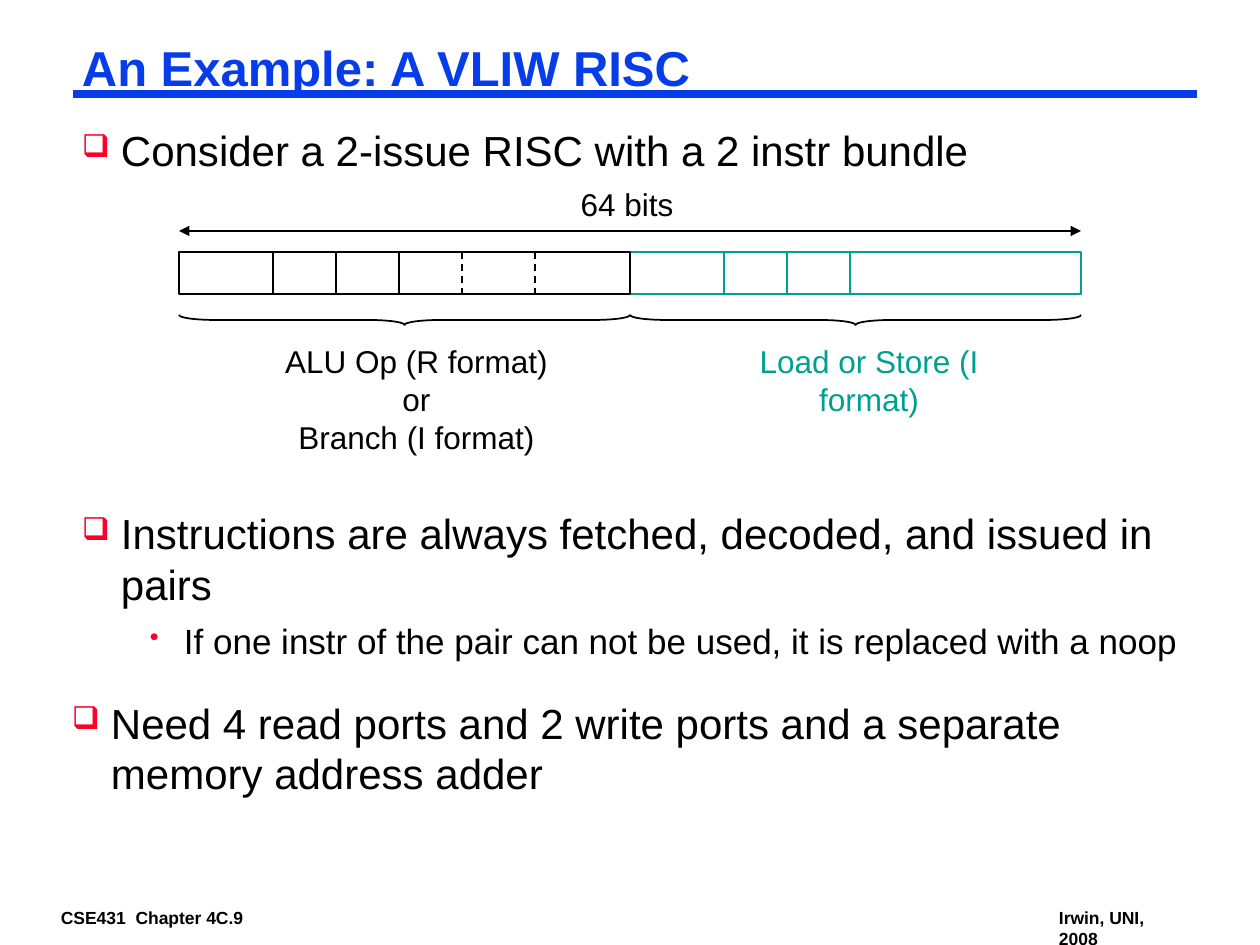
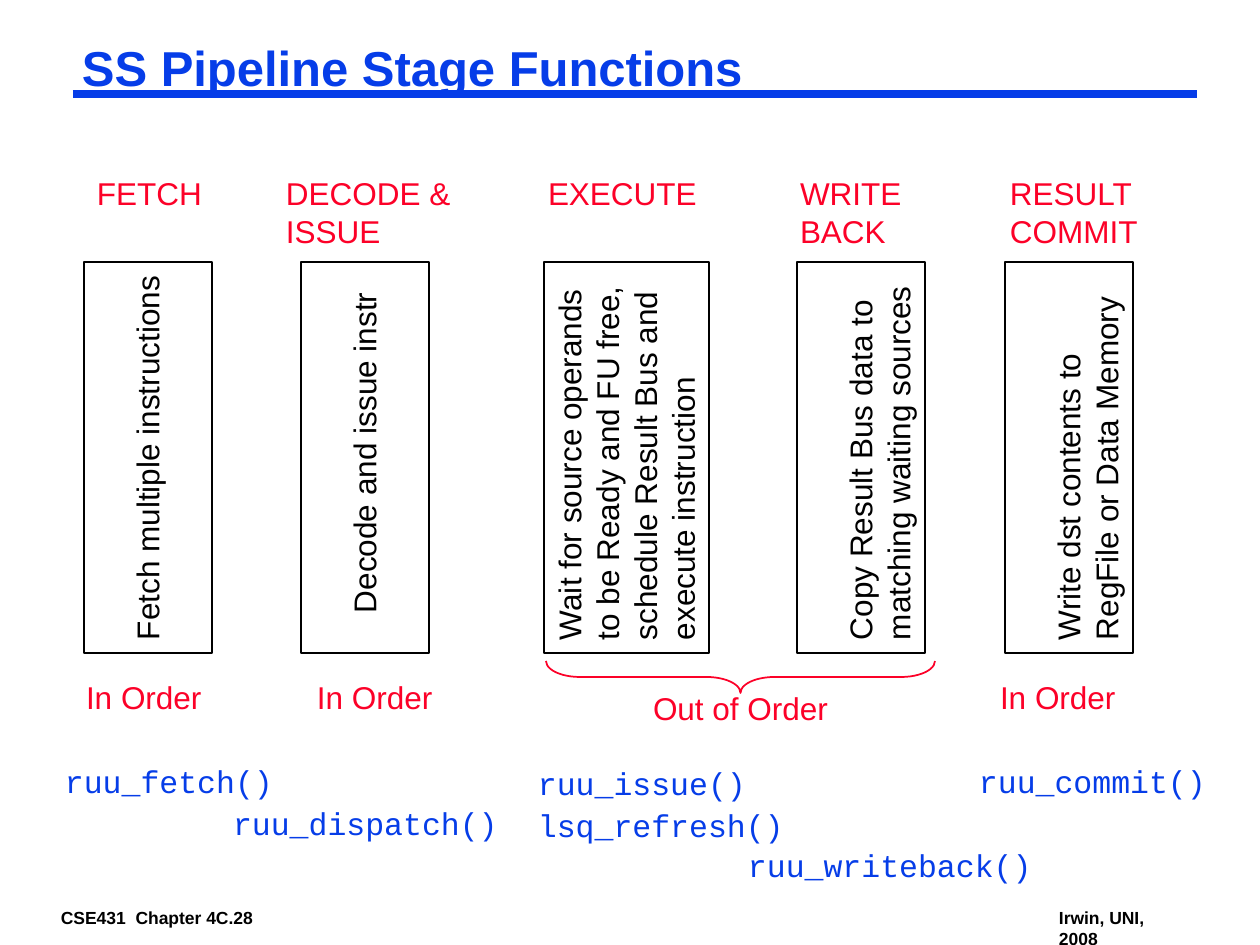
from lxml.etree import SubElement
from pptx import Presentation
from pptx.dml.color import RGBColor
from pptx.enum.dml import MSO_LINE
from pptx.enum.shapes import MSO_CONNECTOR, MSO_SHAPE
from pptx.enum.text import MSO_ANCHOR, PP_ALIGN
from pptx.oxml.ns import qn
from pptx.util import Inches, Pt

PIXEL = 914400 / 126
BLUE, RED, TEAL, BLACK = "063DE8", "FC0128", "00A091", "000000"
TIGHT = (9, 4, 9, 4)
ROOMY = (13, 6, 13, 6)


def place(slide, kind, left, top, width, height, colour=BLACK, turn=0):
    """Add an outlined shape, or a text box if kind is None, by its visible frame."""
    if turn:
        left, top = left + (width - height) / 2, top + (height - width) / 2
        width, height = height, width
    frame = [round(length * PIXEL) for length in (left, top, width, height)]
    if kind is None:
        return slide.shapes.add_textbox(*frame)
    shape = slide.shapes.add_shape(kind, *frame)
    shape.rotation = turn
    shape.shadow.inherit = False
    shape.fill.background()
    shape.line.color.rgb = RGBColor.from_string(colour)
    shape.line.width = Pt(1)
    return shape


def write(box, lines, size=18, colour=BLACK, font="Arial", bold=False,
          align=PP_ALIGN.LEFT, margins=ROOMY):
    """Fill a box with one paragraph per line and return the paragraphs."""
    frame = box.text_frame
    frame.word_wrap = True
    frame.vertical_anchor = MSO_ANCHOR.TOP
    (frame.margin_left, frame.margin_top, frame.margin_right,
     frame.margin_bottom) = [round(margin * PIXEL) for margin in margins]
    frame.text = "\n".join(lines)
    for para in frame.paragraphs:
        para.alignment = align
        for span in para.runs:
            span.font.size = Pt(size)
            span.font.name = font
            span.font.bold = bold
            span.font.color.rgb = RGBColor.from_string(colour)
    return frame.paragraphs


deck = Presentation()
deck.slide_width, deck.slide_height = Inches(10), Inches(7.5)

# Title, rule and footers of every slide
slides = []
lines = []  # slide, start, end, colour, weight, style
for title, number in [("An Example: A VLIW RISC", 9),
                      ("SS Pipeline Stage Functions", 28)]:
    slide = deck.slides.add_slide(deck.slide_layouts[6])
    slides.append(slide)
    lines.append((slide, (73, 94), (1197, 94), BLUE, 4.5, "solid"))
    heading = write(place(slide, None, 73, 42, 1124, 58), [title], 28, BLUE,
                    bold=True, margins=TIGHT)
    heading[0].line_spacing = 0.87
    write(place(slide, None, 52, 903, 213, 28), [f"CSE431  Chapter 4C.{number}"],
          10, bold=True, margins=TIGHT)
    write(place(slide, None, 1050, 903, 151, 49), ["Irwin, UNI, 2008"],
          10, bold=True, margins=(9, 4, 24, 4))
bundle_slide, stage_slide = slides

# Slide 1: bulleted text, level 0 or 1
bullet_styles = [("❑", 24, 39, 39), ("•", 20, 102, 34)]
for left, top, height, spacing, items in [
        (73, 126, 57, 0.9, ["Consider a 2-issue RISC with a 2 instr bundle"]),
        (73, 504, 163, 1.0,
         ["Instructions are always fetched, decoded, and issued in pairs",
          "If one instr of the pair can not be used, it is replaced with a noop"]),
        (63, 693, 107, 1.0,
         ["Need 4 read ports and 2 write ports and a separate memory address adder"])]:
    paras = write(place(bundle_slide, None, left, top, 1124, height), items, margins=TIGHT)
    for level, para in enumerate(paras):
        mark, size, indent, hang = bullet_styles[level]
        para.level = level
        para.line_spacing = spacing
        para.runs[0].font.size = Pt(size)
        if level:
            para.space_before = Pt(6)
        properties = para._p.get_or_add_pPr()
        properties.set("marL", str(round(indent * PIXEL)))
        properties.set("indent", str(round(-hang * PIXEL)))
        colour = SubElement(properties, qn("a:buClr"))
        SubElement(colour, qn("a:srgbClr"), val=RED)
        SubElement(properties, qn("a:buSzPct"), val="75000")
        SubElement(properties, qn("a:buChar"), char=mark)

# Slide 1: the two instructions of the bundle
SLOT_TOP, SLOT_HEIGHT, SLOT_WIDTH = 252, 42, 451
for left, colour, dashed in [(630, TEAL, []), (179, BLACK, [283, 356])]:
    place(bundle_slide, MSO_SHAPE.RECTANGLE, left, SLOT_TOP, SLOT_WIDTH, SLOT_HEIGHT, colour)
    for offset in [94, 157, 220] + dashed:
        style = "dash" if offset in dashed else "solid"
        lines.append((bundle_slide, (left + offset, SLOT_TOP),
                      (left + offset, SLOT_TOP + SLOT_HEIGHT), colour, 1, style))
    brace = place(bundle_slide, MSO_SHAPE.RIGHT_BRACE, left, 315, SLOT_WIDTH, 10, turn=90)
    brace.adjustments[0] = 3.58
lines.append((bundle_slide, (179, 231), (1081, 231), BLACK, 1, "arrows"))

for left, top, width, height, colour, labels in [
        (562, 179, 130, 50, BLACK, ["64 bits"]),
        (266, 336, 301, 126, BLACK, ["ALU Op (R format)", "or", "Branch (I format)"]),
        (700, 336, 338, 88, TEAL, ["Load or Store (I format)"])]:
    write(place(bundle_slide, None, left, top, width, height), labels,
          colour=colour, align=PP_ALIGN.CENTER)

# Slide 2: stage boxes with upward text: left, width, start and line offsets
for left, width, start, offset, text in [
        (84, 128, 13, 44, "Fetch multiple instructions"),
        (301, 128, 40, 44, "Decode and issue instr"),
        (544, 165, 13, 6, "Wait for source operands to be Ready and FU free, "
                          "schedule Result Bus and execute instruction"),
        (797, 128, 13, 44, "Copy Result Bus data to matching waiting sources"),
        (1005, 128, 13, 44, "Write dst contents to RegFile or Data Memory")]:
    stage = place(stage_slide, MSO_SHAPE.RECTANGLE, left, 262, width, 391, turn=270)
    write(stage, [text], margins=(start, offset, 6, 0))

# Slide 2: red captions above and below the stages
for left, top, width, height, captions in [
        (84, 168, 140, 50, ["FETCH"]),
        (273, 168, 199, 88, ["DECODE & ISSUE"]),
        (535, 168, 210, 50, ["EXECUTE"]),
        (787, 168, 168, 88, ["WRITE", "BACK"]),
        (997, 168, 168, 88, ["RESULT", "COMMIT"]),
        (73, 672, 157, 50, ["In Order"]),
        (304, 672, 157, 50, ["In Order"]),
        (640, 683, 231, 50, ["Out of Order"]),
        (987, 672, 157, 50, ["In Order"])]:
    write(place(stage_slide, None, left, top, width, height), captions, colour=RED)
brace = place(stage_slide, MSO_SHAPE.RIGHT_BRACE, 546, 661, 389, 32, RED, turn=90)
brace.adjustments[0] = 1.06

# Slide 2: simulator functions
for left, top, name in [(52, 756, "ruu_fetch()"), (220, 798, "ruu_dispatch()"),
                        (525, 758, "ruu_issue()"), (525, 800, "lsq_refresh()"),
                        (735, 840, "ruu_writeback()"), (966, 756, "ruu_commit()")]:
    write(place(stage_slide, None, left, top, 19 * len(name) + 30, 50), [name],
          colour=BLUE, font="Courier New")

# All straight lines
for slide, start, end, colour, weight, style in lines:
    ends = [round(length * PIXEL) for length in start + end]
    line = slide.shapes.add_connector(MSO_CONNECTOR.STRAIGHT, *ends)
    line.line.color.rgb = RGBColor.from_string(colour)
    line.line.width = Pt(weight)
    if style == "dash":
        line.line.dash_style = MSO_LINE.DASH
    if style == "arrows":
        outline = line.line._get_or_add_ln()
        SubElement(outline, qn("a:headEnd"), type="triangle")
        SubElement(outline, qn("a:tailEnd"), type="triangle")
    SubElement(line._element.spPr, qn("a:effectLst"))

deck.save("out.pptx")
